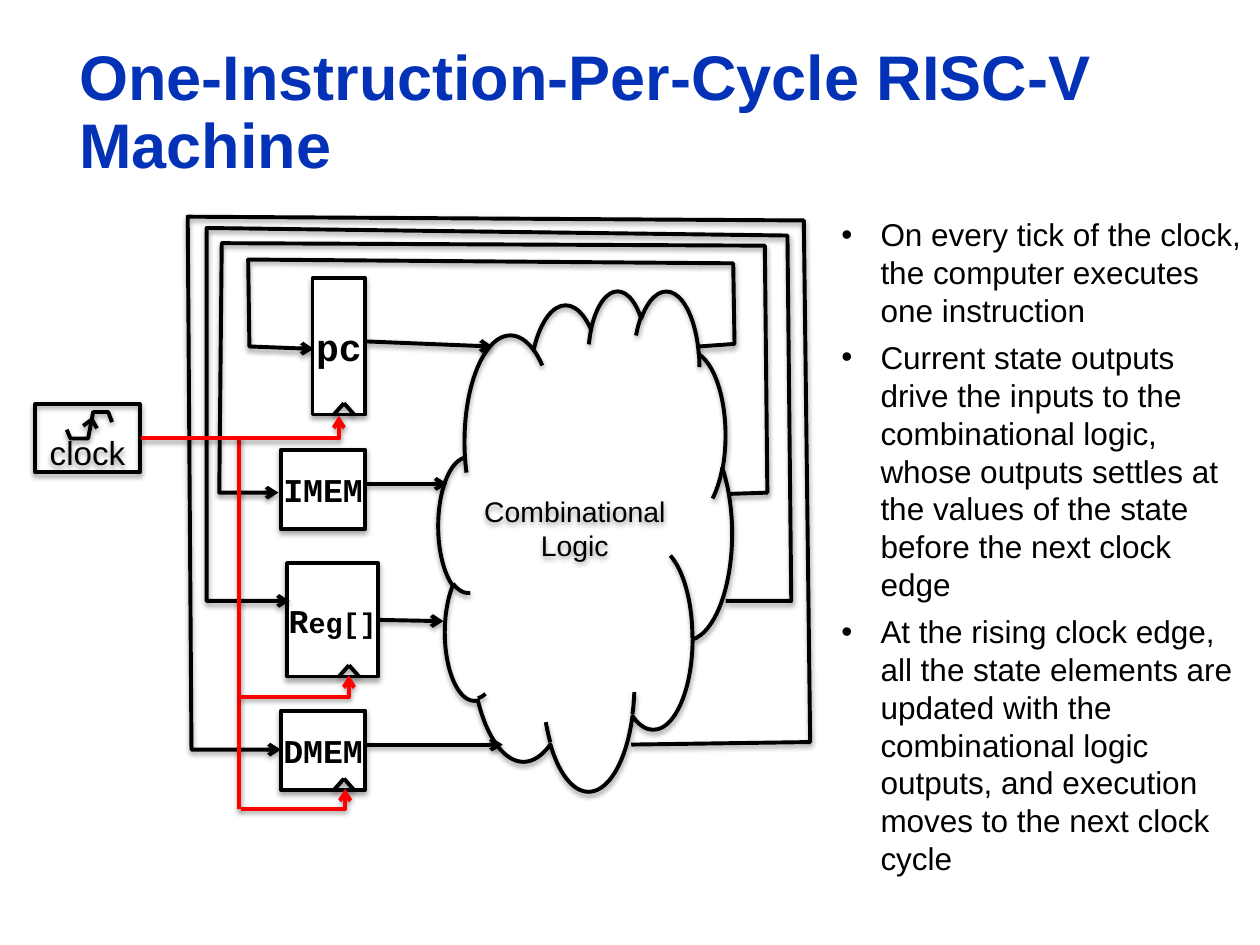
from lxml.etree import SubElement as Sub
from pptx import Presentation
from pptx.dml.color import RGBColor
from pptx.enum.shapes import MSO_CONNECTOR as Conn, MSO_SHAPE as Geom
from pptx.enum.text import MSO_ANCHOR as Anchor, PP_ALIGN as Align
from pptx.oxml.ns import qn
from pptx.util import Inches, Pt

BLACK, WHITE, RED, BLUE = "000000", "FFFFFF", "FF0000", "0332B7"
MONO = "Courier New"

STATES = [
    ([("Reg[]"[0], 19), ("eg[]", 16.2)], (2.28, 4.47, 0.72, 0.9), 2.77),
    ([("pc", 21.7)], (2.48, 2.21, 0.42, 1.08), 2.73),
    ([("IMEM", 19)], (2.23, 3.57, 0.67, 0.63), None),
    ([("DMEM", 19)], (2.23, 5.64, 0.67, 0.63), 2.73),
]
INPUTS = [
    ((2.91, 2.71), (3.91, 2.75)),
    ((2.91, 3.84), (3.55, 3.84)),
    ((2.91, 5.91), (3.99, 5.91)),
]
LOOPS = [
    [(5.55, 2.75), (5.83, 2.73), (5.82, 2.09), (1.97, 2.06), (1.98, 2.75), (2.49, 2.77)],
    [(5.78, 3.92), (6.09, 3.91), (6.07, 1.95), (1.76, 1.93), (1.74, 3.91), (2.21, 3.91)],
    [(5.76, 4.77), (6.28, 4.77), (6.25, 1.87), (1.64, 1.81), (1.64, 4.77), (2.3, 4.77)],
    [(5.01, 5.91), (6.43, 5.89), (6.38, 1.75), (1.49, 1.72), (1.52, 5.95), (2.23, 5.95)],
]
EDGE = [(0.53, 3.41), (0.56, 3.48), (0.7, 3.48), (0.74, 3.27), (0.86, 3.27), (0.89, 3.35)]
HEAD = [(0.66, 3.38), (0.73, 3.33), (0.77, 3.4)]
CLOCKS = [
    ((1.12, 3.48), (2.69, 3.3)),
    ((1.9, 5.53), (2.77, 5.36)),
    ((1.91, 6.42), (2.74, 6.26)),
]
POINTS = [
    "On every tick of the clock, the computer executes one instruction",
    "Current state outputs drive the inputs to the combinational logic, whose outputs "
    "settles at the values of the state before the next clock edge",
    "At the rising clock edge, all the state elements are updated with the combinational "
    "logic outputs, and execution moves to the next clock cycle",
]


def rgb(code):
    """Turn a hex string into a colour."""
    return RGBColor.from_string(code)


def write(para, text, size=18, font="Arial", color=BLACK, bold=False, align=None):
    """Add a formatted run to a paragraph."""
    para.alignment = align
    run = para.add_run()
    run.text = text
    run.font.size, run.font.name, run.font.bold = Pt(size), font, bold
    run.font.color.rgb = rgb(color)


def style(item, color=BLACK, arrow=False, alpha=38, dist=1.6):
    """Give an element its outline, arrowhead and soft shadow."""
    item.line.color.rgb = rgb(color)
    item.line.width = Pt(2.25)
    props = item._element.spPr
    if arrow:
        Sub(props.find(qn("a:ln")), qn("a:tailEnd"), type="arrow")
    glow = Sub(
        Sub(props, qn("a:effectLst")), qn("a:outerShdw"),
        blurRad=str(Pt(3.1)), dist=str(Pt(dist)), dir="5400000", rotWithShape="0",
    )
    tint = Sub(glow, qn("a:srgbClr"), val=BLACK)
    Sub(tint, qn("a:alpha"), val=str(alpha * 1000))


def box(slide, geom, place, runs, fill=None, anchor=Anchor.MIDDLE, **form):
    """Draw a preset shape with centred text."""
    shape = slide.shapes.add_shape(geom, *map(Inches, place))
    if fill:
        shape.fill.solid()
        shape.fill.fore_color.rgb = rgb(fill)
        style(shape, alpha=35, dist=1.8)
    else:
        shape.fill.background()
        style(shape)
    frame = shape.text_frame
    frame.word_wrap = True
    frame.vertical_anchor = anchor
    frame.margin_left = frame.margin_right = frame.margin_top = frame.margin_bottom = 0
    for text, size in runs:
        write(frame.paragraphs[0], text, size=size, align=Align.CENTER, **form)
    return shape


def link(slide, start, end, kind=Conn.STRAIGHT, **form):
    """Draw a connector between two points."""
    line = slide.shapes.add_connector(kind, *map(Inches, start + end))
    if kind == Conn.ELBOW:
        line._element.spPr.find(qn("a:prstGeom")).set("prst", "bentConnector2")
    style(line, **form)
    return line


def trace(slide, spots, **form):
    """Draw an open outline through the given points."""
    first, *rest = [(Inches(x), Inches(y)) for x, y in spots]
    pen = slide.shapes.build_freeform(*first)
    pen.add_line_segments(rest, close=False)
    shape = pen.convert_to_shape()
    shape.fill.background()
    style(shape, **form)


def state(slide, runs, place, notch):
    """Draw a state element, with a clock notch if it has one."""
    shape = box(slide, Geom.RECTANGLE, place, runs, fill=WHITE, font=MONO, bold=True)
    if notch:
        base = place[1] + place[3]
        for side in (-0.08, 0.08):
            link(slide, (notch + side, base), (notch, base - 0.09))
    return shape


def head(slide, text):
    """Place and fill the title."""
    title = slide.shapes.title
    title.left, title.top, title.width, title.height = map(Inches, (0.53, 0.23, 9.22, 1.35))
    frame = title.text_frame
    frame.vertical_anchor = Anchor.MIDDLE
    para = frame.paragraphs[0]
    para.line_spacing = 0.9
    write(para, text, size=36, color=BLUE, bold=True, align=Align.LEFT)


def bullets(slide, place, points):
    """Write a bulleted list."""
    frame = slide.shapes.add_textbox(*map(Inches, place)).text_frame
    frame.word_wrap = True
    for num, text in enumerate(points):
        para = frame.add_paragraph() if num else frame.paragraphs[0]
        props = para._p.get_or_add_pPr()
        props.set("marL", str(Inches(0.31)))
        props.set("indent", str(Inches(-0.31)))
        Sub(props, qn("a:buFont"), typeface="Arial")
        Sub(props, qn("a:buChar"), char="•")
        if num:
            para.space_before = Pt(5.4)
        write(para, text)


def main():
    """Build the slide and save it."""
    deck = Presentation()
    deck.slide_width, deck.slide_height = Inches(10), Inches(7.5)
    slide = deck.slides.add_slide(deck.slide_layouts[5])
    head(slide, "One-Instruction-Per-Cycle RISC-V Machine")
    bullets(slide, (6.58, 1.66, 3.42, 5.17), POINTS)

    reg, *_ = [state(slide, *item) for item in STATES]
    box(slide, Geom.CLOUD, (3.48, 2.3, 2.33, 3.97), [("Combinational Logic", 16.2)])
    for start, end in INPUTS:
        link(slide, start, end, arrow=True)
    link(slide, (3, 4.92), (3.52, 4.93), arrow=True).begin_connect(reg, 3)
    for loop in LOOPS:
        trace(slide, loop, arrow=True)

    link(slide, (1.9, 6.42), (1.9, 3.46), color=RED)
    trace(slide, EDGE)
    trace(slide, HEAD)
    box(slide, Geom.RECTANGLE, (0.28, 3.21, 0.83, 0.54), [("clock", 19)], anchor=Anchor.BOTTOM)
    for start, end in CLOCKS:
        link(slide, start, end, kind=Conn.ELBOW, color=RED, arrow=True)
    deck.save("out.pptx")


if __name__ == "__main__":
    main()
